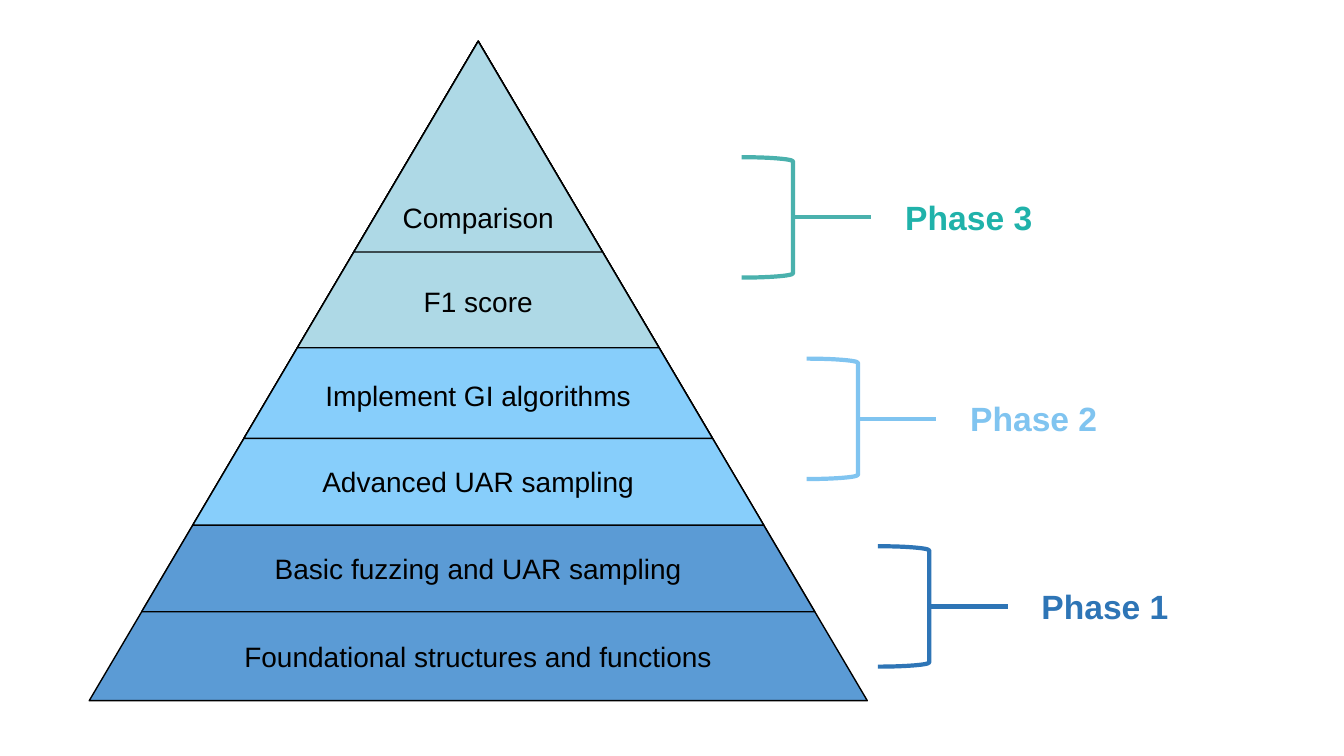
from dataclasses import dataclass

from lxml import etree
from pptx import Presentation
from pptx.dml.color import RGBColor
from pptx.enum import shapes, text
from pptx.oxml import ns
from pptx.util import Pt


@dataclass(frozen=True)
class Theme:
    font: str = "Arial"
    label_size: float = 20
    phase_size: float = 24
    outline: float = 1
    bracket_line: float = 3
    black: str = "000000"
    base_fill: str = "5B9BD5"
    middle_fill: str = "87CEFB"
    top_fill: str = "AED9E6"
    phase1: str = "2E75B6"
    phase2: str = "80C4F0"
    phase3_text: str = "20B2AA"
    phase3_line: str = "4AB1AD"


@dataclass(frozen=True)
class Level:
    label: str
    height: float  # from the apex down to the base of the level
    label_top: float
    label_width: float
    fill: str


@dataclass(frozen=True)
class Phase:
    label: str
    left: float
    top: float
    text_color: str
    line_color: str


THEME = Theme()

# Pyramid geometry
CENTER_X = 341.6
APEX_Y = 29.5
WIDTH_TO_HEIGHT = 1.18
LABEL_HEIGHT = 31.5

# Bracket geometry
BRACKET_W, BRACKET_H = 36.7, 86
STEM = 56
PHASE_W, PHASE_H = 139, 36.4

LEVELS = [
    Level("Foundational structures and functions", 471, 453, 377, THEME.base_fill),
    Level("Basic fuzzing and UAR sampling", 407.5, 390.5, 377, THEME.base_fill),
    Level("Advanced UAR sampling", 345.6, 328.5, 335, THEME.middle_fill),
    Level("Implement GI algorithms", 283.7, 266.5, 258, THEME.middle_fill),
    Level("F1 score", 218.9, 200, 121, THEME.top_fill),
    Level("Comparison", 150.5, 139.5, 142, THEME.top_fill),
]
PHASES = [
    Phase("Phase 1", 627.1, 390.2, THEME.phase1, THEME.phase1),
    Phase("Phase 2", 576.2, 256.2, THEME.phase2, THEME.phase2),
    Phase("Phase 3", 529.8, 112.3, THEME.phase3_text, THEME.phase3_line),
]


def set_line(sp, color: str, width: float) -> None:
    sp.line.color.rgb = RGBColor.from_string(color)
    sp.line.width = Pt(width)


def add_label(s, label: str, left: float, top: float, width: float,
              height: float, size: float, color: str, bold: bool = False) -> None:
    sp = s.shapes.add_textbox(Pt(left), Pt(top), Pt(width), Pt(height))
    tf = sp.text_frame
    tf.word_wrap = True
    tf.auto_size = text.MSO_AUTO_SIZE.SHAPE_TO_FIT_TEXT
    p = tf.paragraphs[0]
    p.text = label
    p.alignment = text.PP_ALIGN.CENTER
    p.font.name = THEME.font
    p.font.size = Pt(size)
    p.font.bold = bold
    p.font.color.rgb = RGBColor.from_string(color)


def add_triangle(s, level: Level) -> None:
    width = level.height * WIDTH_TO_HEIGHT
    sp = s.shapes.add_shape(shapes.MSO_SHAPE.ISOSCELES_TRIANGLE,
                            Pt(CENTER_X - width / 2), Pt(APEX_Y),
                            Pt(width), Pt(level.height))
    sp.shadow.inherit = False
    sp.fill.solid()
    sp.fill.fore_color.rgb = RGBColor.from_string(level.fill)
    set_line(sp, THEME.black, THEME.outline)


def add_phase(s, phase: Phase) -> None:
    stem_x = phase.left + BRACKET_W
    stem_y = phase.top + BRACKET_H / 2
    add_label(s, phase.label, stem_x + STEM, stem_y - PHASE_H / 2, PHASE_W, PHASE_H,
              THEME.phase_size, phase.text_color, bold=True)

    bracket = s.shapes.add_shape(shapes.MSO_SHAPE.RIGHT_BRACKET, Pt(phase.left),
                                 Pt(phase.top), Pt(BRACKET_W), Pt(BRACKET_H))
    bracket.shadow.inherit = False
    bracket.fill.background()
    set_line(bracket, phase.line_color, THEME.bracket_line)

    stem = s.shapes.add_connector(shapes.MSO_CONNECTOR.STRAIGHT, Pt(stem_x), Pt(stem_y),
                                  Pt(stem_x + STEM), Pt(stem_y))
    set_line(stem, phase.line_color, THEME.bracket_line)
    etree.SubElement(stem._element.spPr, ns.qn("a:effectLst"))


def main() -> None:
    prs = Presentation()
    prs.slide_width, prs.slide_height = Pt(960), Pt(540)
    s = prs.slides.add_slide(prs.slide_layouts[6])

    # Pyramid: nested triangles share one apex, largest at the back
    for level in LEVELS:
        add_triangle(s, level)
    for level in LEVELS:
        add_label(s, level.label, CENTER_X - level.label_width / 2, level.label_top,
                  level.label_width, LABEL_HEIGHT, THEME.label_size, THEME.black)

    # Phases beside the pyramid
    for phase in PHASES:
        add_phase(s, phase)

    prs.save("out.pptx")


if __name__ == "__main__":
    main()
